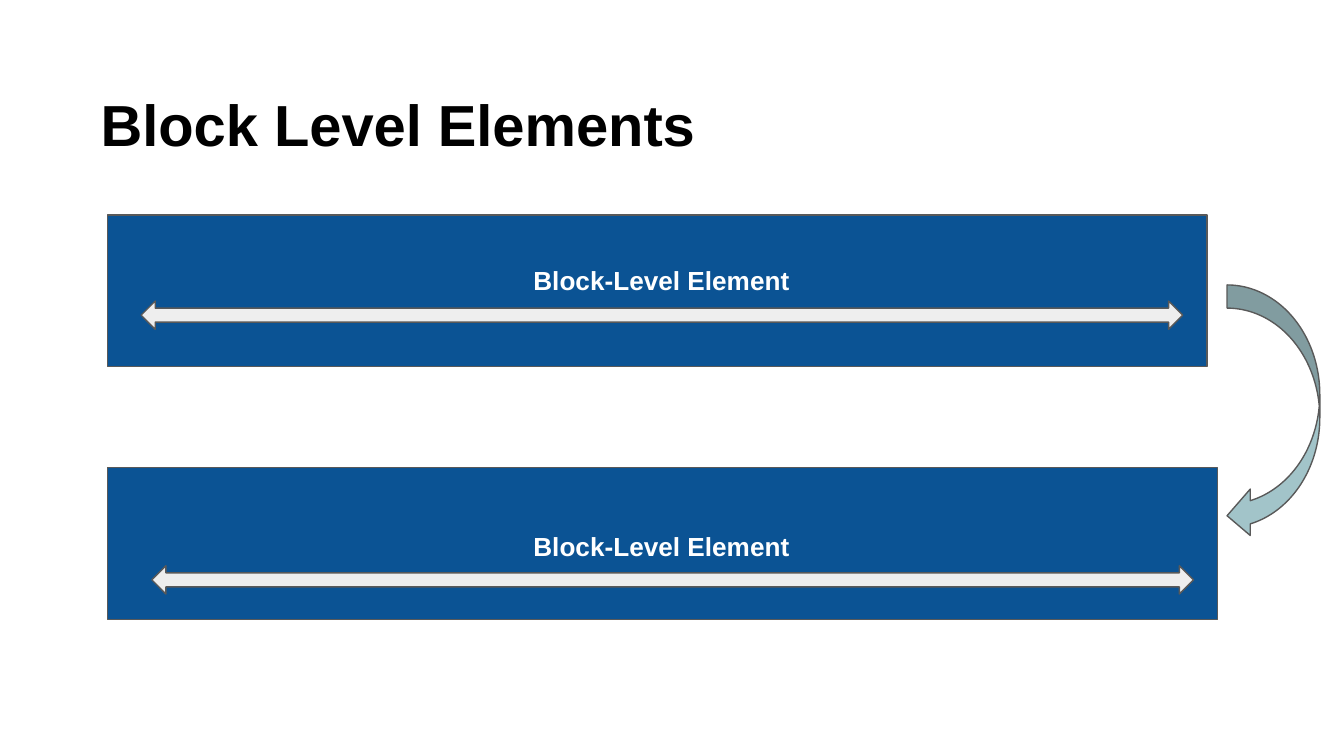
from pptx import Presentation
from pptx.dml.color import RGBColor
from pptx.enum.shapes import MSO_SHAPE
from pptx.enum.text import MSO_ANCHOR, PP_ALIGN
from pptx.util import Inches, Pt

BLACK = RGBColor(0x00, 0x00, 0x00)
WHITE = RGBColor(0xFF, 0xFF, 0xFF)
BLUE = RGBColor(0x0B, 0x53, 0x94)
TEAL = RGBColor(0xA2, 0xC4, 0xC9)
PALE = RGBColor(0xEE, 0xEE, 0xEE)
GRAY = RGBColor(0x59, 0x59, 0x59)

TITLE = "Block Level Elements"
BLOCKS = [
    {"label": "Block-Level Element", "top": 3.48, "width": 8.26,
     "arrow": (1.13, 4.21), "label_top": 3.85},
    {"label": "Block-Level Element", "top": 1.6, "width": 8.18,
     "arrow": (1.05, 2.24), "label_top": 1.87},
]
BLOCK_LEFT, BLOCK_HEIGHT = 0.8, 1.13
ARROW_SIZE = (7.75, 0.21)
LABEL_LEFT, LABEL_SIZE = 3.87, (4.69, 0.76)


def add_figure(slide, preset, left, top, width, height, fill):
    figure = slide.shapes.add_shape(
        preset, Inches(left), Inches(top), Inches(width), Inches(height))
    figure.shadow.inherit = False
    figure.fill.solid()
    figure.fill.fore_color.rgb = fill
    figure.line.color.rgb = GRAY
    figure.line.width = Pt(0.75)
    return figure


def add_text(slide, text, left, top, width, height, size, color):
    frame = slide.shapes.add_textbox(
        Inches(left), Inches(top), Inches(width), Inches(height)).text_frame
    frame.word_wrap = True
    frame.vertical_anchor = MSO_ANCHOR.TOP
    frame.margin_left = frame.margin_right = Inches(0.1)
    frame.margin_top = frame.margin_bottom = Inches(0.1)
    paragraph = frame.paragraphs[0]
    paragraph.text = text
    paragraph.alignment = PP_ALIGN.LEFT
    paragraph.font.name = "Arial"
    paragraph.font.size = Pt(size)
    paragraph.font.bold = True
    paragraph.font.color.rgb = color


def main():
    deck = Presentation()
    deck.slide_width = Inches(10)
    deck.slide_height = deck.slide_width * 9 // 16
    slide = deck.slides.add_slide(deck.slide_layouts[6])

    add_text(slide, TITLE, 0.65, 0.56, 8.71, 0.65, 31, BLACK)
    flow_arrow = add_figure(
        slide, MSO_SHAPE.CURVED_LEFT_ARROW, 9.13, 2.12, 0.69, 1.89, TEAL)
    for index, value in enumerate((0.25, 0.5, 0.25)):
        flow_arrow.adjustments[index] = value

    for block in BLOCKS:
        add_figure(slide, MSO_SHAPE.RECTANGLE, BLOCK_LEFT, block["top"],
                   block["width"], BLOCK_HEIGHT, BLUE)
        add_figure(slide, MSO_SHAPE.LEFT_RIGHT_ARROW,
                   *block["arrow"], *ARROW_SIZE, PALE)
        add_text(slide, block["label"], LABEL_LEFT, block["label_top"],
                 *LABEL_SIZE, 14, WHITE)

    deck.save("out.pptx")


if __name__ == "__main__":
    main()
